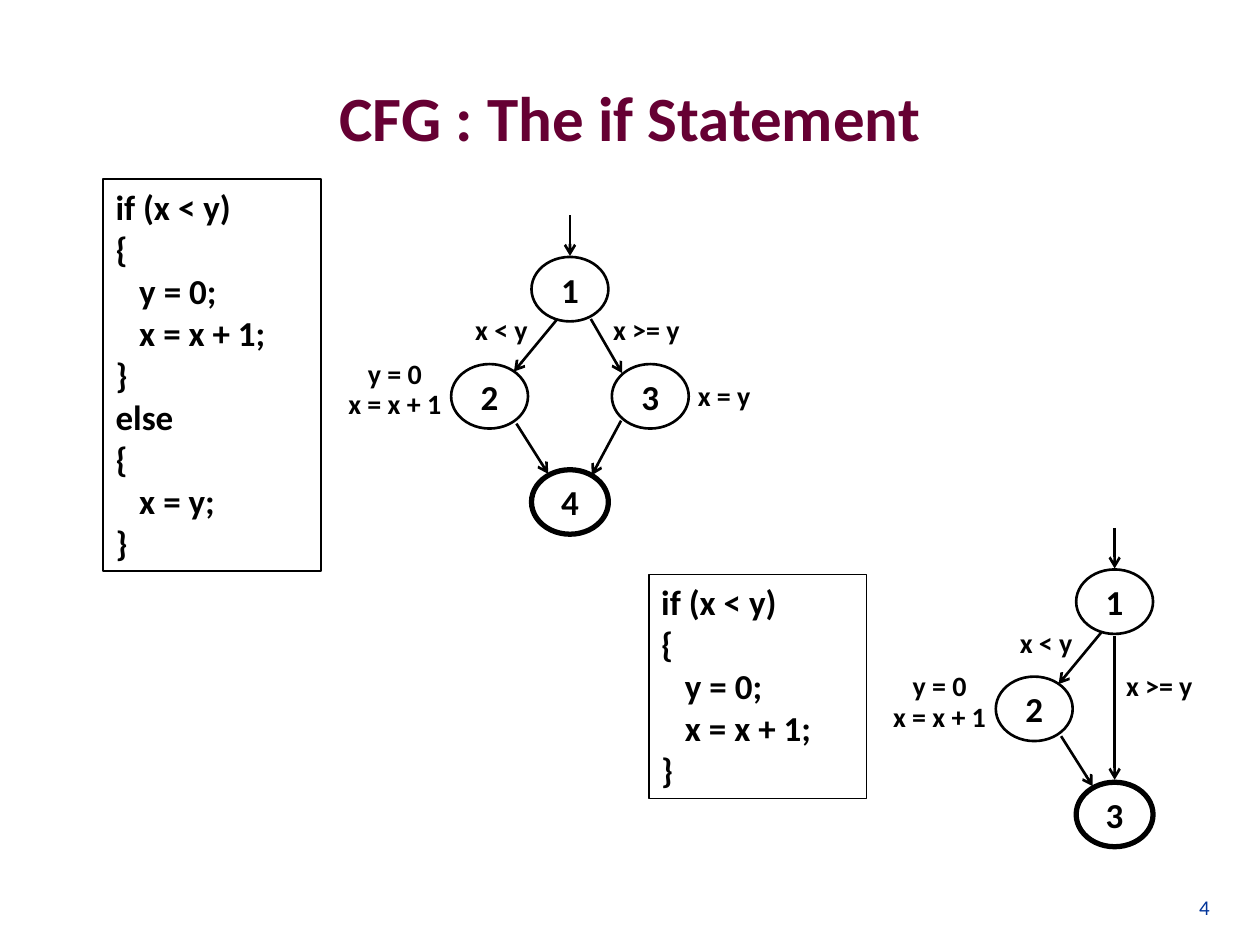
"""Build a slide with the control flow graphs of two if statements."""
import pptx
import pptx.dml.color
import pptx.enum.shapes
import pptx.enum.text
import pptx.oxml
import pptx.oxml.ns
import pptx.util
from pptx.util import Cm

ALIGN = pptx.enum.text.PP_ALIGN
ANCHOR = pptx.enum.text.MSO_ANCHOR
SHAPE = pptx.enum.shapes.MSO_SHAPE
RGB = pptx.dml.color.RGBColor

THEME = {
    "ink": RGB(0, 0, 0),
    "title": {"name": "Calibri", "size": pptx.util.Pt(36), "bold": True},
    "title_color": RGB(0x66, 0x00, 0x33),
    "code": {"name": "Calibri", "size": pptx.util.Pt(20), "bold": True},
    "label": {"name": "Calibri", "size": pptx.util.Pt(16), "bold": True},
    "number": {"name": "Calibri", "size": pptx.util.Pt(12), "bold": False},
    "number_color": RGB(0x00, 0x33, 0x99),
    "thin": pptx.util.Pt(1),
    "line": pptx.util.Pt(1.5),
    "thick": pptx.util.Pt(3),
}


def write(shape, text, font, color=THEME["ink"], align=ALIGN.CENTER,
          anchor=ANCHOR.MIDDLE, spacing=1.0, **frame_format):
    frame = shape.text_frame
    frame_values = {"word_wrap": True, "vertical_anchor": anchor, **frame_format}
    for name, value in frame_values.items():
        setattr(frame, name, value)
    for index, line in enumerate(text.split("\n")):
        paragraph = frame.add_paragraph() if index else frame.paragraphs[0]
        paragraph.alignment = align
        paragraph.line_spacing = spacing
        run = paragraph.add_run()
        run.text = line
        for name, value in font.items():
            setattr(run.font, name, value)
        run.font.color.rgb = color


def add_outline(slide, kind, left, top, width, height, line_width):
    shape = slide.shapes.add_shape(kind, Cm(left), Cm(top), Cm(width), Cm(height))
    shape.shadow.inherit = False
    shape.fill.background()
    shape.line.color.rgb = THEME["ink"]
    shape.line.width = line_width
    return shape


presentation = pptx.Presentation()
presentation.slide_width = Cm(25.4)
presentation.slide_height = Cm(19.05)
slide = presentation.slides.add_slide(presentation.slide_layouts[6])

title = slide.shapes.add_textbox(Cm(1.27), Cm(0.76), Cm(22.86), Cm(3.18))
write(title, "CFG : The if Statement", THEME["title"], THEME["title_color"])
number = slide.shapes.add_textbox(Cm(22.89), Cm(17.35), Cm(1.75), Cm(1.32))
write(number, "4", THEME["number"], THEME["number_color"], ALIGN.RIGHT, ANCHOR.BOTTOM)

IF_CODE = "if (x < y)\n{\n   y = 0;\n   x = x + 1;\n}"
ELSE_CODE = "\nelse\n{\n   x = y;\n}"
code_boxes = [
    (2.08, 3.61, 7.9, IF_CODE + ELSE_CODE),
    (13.08, 11.58, 4.52, IF_CODE),
]
for left, top, height, code in code_boxes:
    box = add_outline(slide, SHAPE.RECTANGLE, left, top, 4.39, height, THEME["thin"])
    write(box, code, THEME["code"], align=ALIGN.LEFT, anchor=ANCHOR.TOP)

NODE_WIDTH, NODE_HEIGHT = 1.55, 1.3
LABEL_WIDTH, LABEL_HEIGHT = 2.62, 1.27
shared_nodes = [("1", 0, 0, "line"), ("2", -1.62, 2.16, "line")]
shared_arrows = [
    (0, -1.49, 0, -0.67),
    (-0.27, 0.62, -1.13, 1.66),
    (-1.08, 2.71, -0.44, 3.72),
]
shared_labels = [("x < y", -1.38, 0.86), ("y = 0\nx = x + 1", -3.53, 2.04)]
graphs = [
    {
        "center": (11.49, 5.83),
        "nodes": [("3", 1.62, 2.16, "line"), ("4", 0, 4.29, "thick")],
        "arrows": [(0.42, 0.6, 1.05, 1.69), (1.03, 2.65, 0.44, 3.75)],
        "labels": [("x >= y", 1.54, 0.86), ("x = y", 3.11, 2.18)],
    },
    {
        "center": (22.47, 12.13),
        "nodes": [("3", 0, 4.29, "thick")],
        "arrows": [(0, 0.7, 0, 3.59)],
        "labels": [("x >= y", 0.9, 1.73)],
    },
]
for graph in graphs:
    center_x, center_y = graph["center"]
    for text, x, y, weight in shared_nodes + graph["nodes"]:
        node = add_outline(slide, SHAPE.OVAL, center_x + x - NODE_WIDTH / 2,
                           center_y + y - NODE_HEIGHT / 2,
                           NODE_WIDTH, NODE_HEIGHT, THEME[weight])
        write(node, text, THEME["code"], margin_left=0, margin_right=0,
              margin_top=0, margin_bottom=0)
    for start_x, start_y, end_x, end_y in shared_arrows + graph["arrows"]:
        arrow = slide.shapes.add_connector(
            pptx.enum.shapes.MSO_CONNECTOR.STRAIGHT,
            Cm(center_x + start_x), Cm(center_y + start_y),
            Cm(center_x + end_x), Cm(center_y + end_y))
        arrow.line.color.rgb = THEME["ink"]
        arrow.line.width = THEME["line"]
        properties = arrow.element.spPr
        outline = properties.find(pptx.oxml.ns.qn("a:ln"))
        outline.append(pptx.oxml.parse_xml(
            f'<a:tailEnd {pptx.oxml.ns.nsdecls("a")} type="arrow"/>'))
        properties.append(pptx.oxml.parse_xml(
            f'<a:effectLst {pptx.oxml.ns.nsdecls("a")}/>'))
    for text, x, y in shared_labels + graph["labels"]:
        label = slide.shapes.add_textbox(
            Cm(center_x + x - LABEL_WIDTH / 2), Cm(center_y + y - LABEL_HEIGHT / 2),
            Cm(LABEL_WIDTH), Cm(LABEL_HEIGHT))
        write(label, text, THEME["label"], spacing=0.9)

presentation.save("out.pptx")
